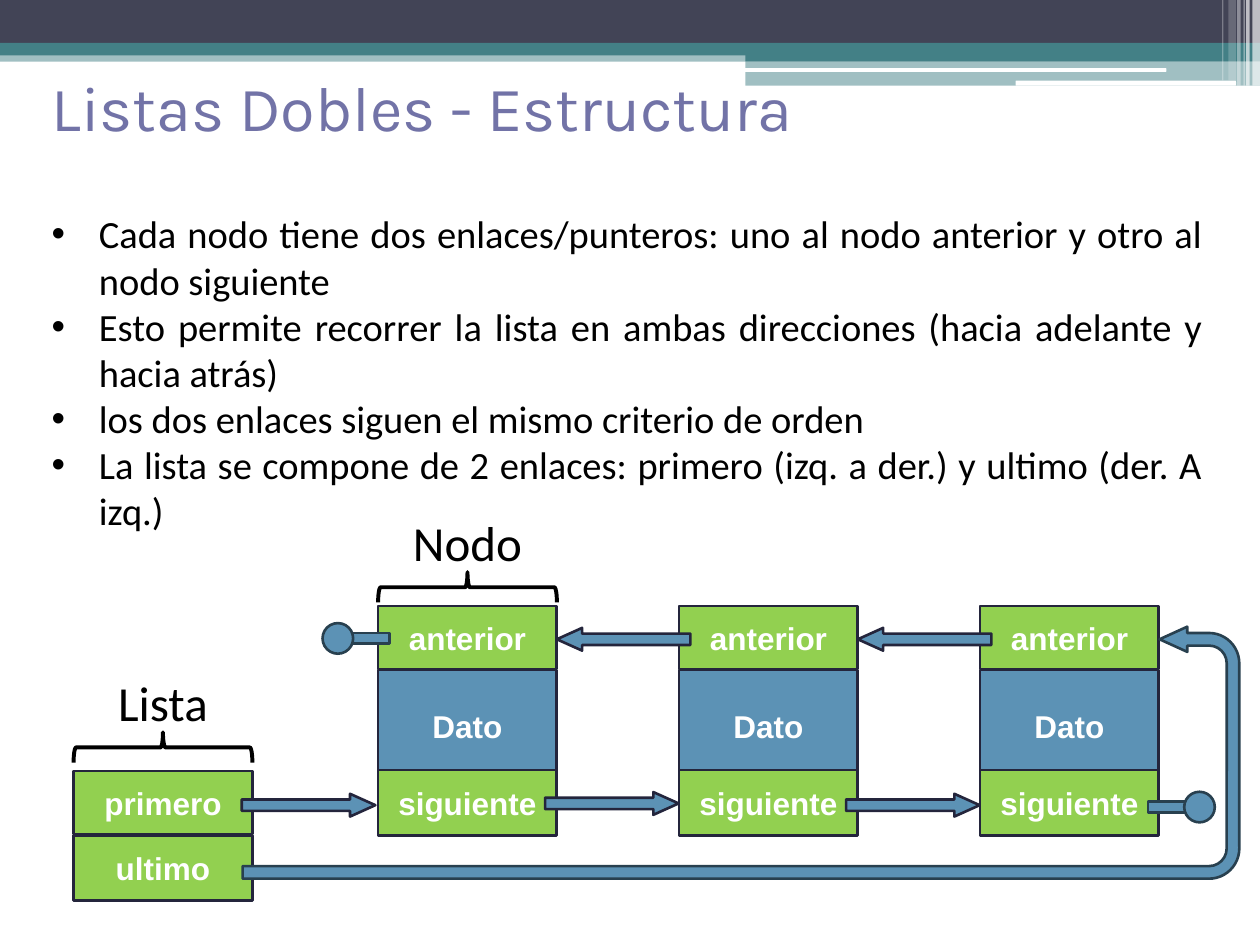
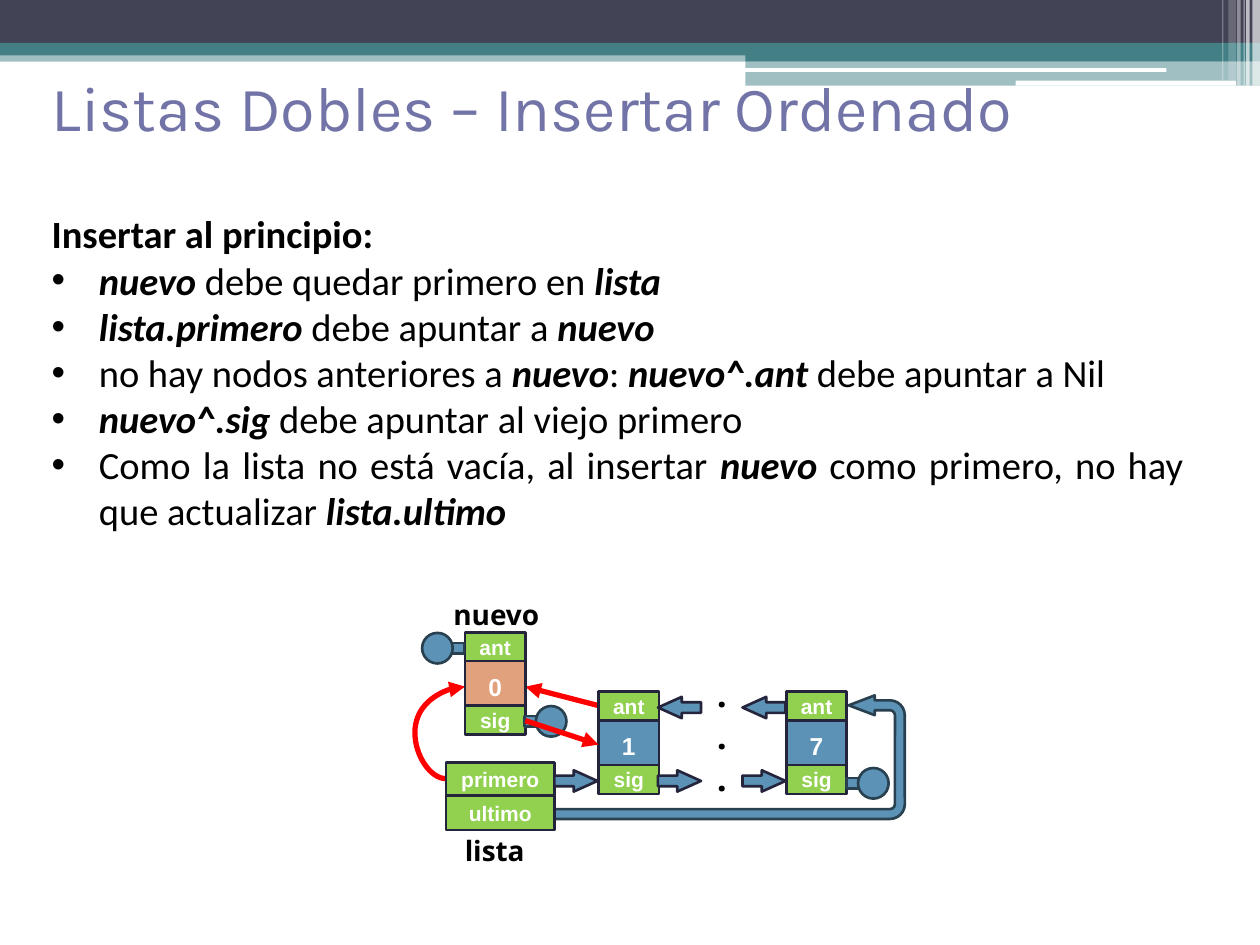
from pptx import Presentation
from pptx.dml.color import RGBColor
from pptx.enum.shapes import MSO_CONNECTOR as Link, MSO_SHAPE as Preset
from pptx.enum.text import MSO_ANCHOR as Anchor, MSO_AUTO_SIZE as AutoSize, PP_ALIGN as Align
from pptx.oxml.ns import qn
from pptx.util import Pt
from lxml.etree import SubElement

COLORS = {
    "slate": "424456", "teal": "438086", "white": "FFFFFF", "black": "000000",
    "title": "7273A7", "green": "92D050", "blue": "5C92B5", "orange": "E1A17C",
    "node_edge": "24253C", "pointer_edge": "28404F", "red": "FF0000",
}

# preset, left, top, width, height, colour, opacity in percent
BANDS = [
    (Preset.RECTANGLE, 0, 28.8, 720, 6.5, "teal", 50),
    (Preset.RECTANGLE, 0, 0, 720, 24.5, "slate", 100),
    (Preset.RECTANGLE, 0, 24.5, 720, 7.2, "teal", 100),
    (Preset.RECTANGLE, 426, 28, 294, 7, "teal", 100),
    (Preset.RECTANGLE, 426, 34.8, 294, 14.2, "teal", 50),
    (Preset.ROUNDED_RECTANGLE, 425.5, 38.9, 241, 2.2, "white", 100),
    (Preset.ROUNDED_RECTANGLE, 580.3, 46.1, 126, 2.9, "white", 100),
    (Preset.RECTANGLE, 715.7, 0, 4.3, 49, "white", 65),
    (Preset.RECTANGLE, 712.1, 0, 2, 49, "white", 65),
    (Preset.RECTANGLE, 710.6, 0, 0.7, 49, "white", 60),
    (Preset.RECTANGLE, 707, 0, 2, 49, "white", 40),
    (Preset.RECTANGLE, 702, 0, 4.3, 46, "white", 20),
    (Preset.RECTANGLE, 698.4, 0, 0.7, 46, "white", 30),
]


def rgb(name):
    return RGBColor.from_string(COLORS[name])


def assign(target, values):
    for name, value in values.items():
        setattr(target, name, value)


def place(box, left, top, width, height):
    assign(box, {"left": Pt(left), "top": Pt(top), "width": Pt(width), "height": Pt(height)})


def write(para, text, size, font, color, bold=False, italic=False):
    span = para.add_run()
    span.text = text
    assign(span.font, {"size": Pt(size), "name": font, "bold": bold, "italic": italic})
    span.font.color.rgb = rgb(color)


def add_preset(page, preset, left, top, width, height, fill=None, edge=None, weight=1.5,
               rotation=0, adjustments=()):
    shape = page.shapes.add_shape(preset, Pt(left), Pt(top), Pt(width), Pt(height))
    shape.shadow.inherit = False
    shape.rotation = rotation
    for index, value in enumerate(adjustments):
        shape.adjustments[index] = value
    if fill:
        shape.fill.solid()
        shape.fill.fore_color.rgb = rgb(fill)
    else:
        shape.fill.background()
    if edge:
        shape.line.color.rgb = rgb(edge)
        shape.line.width = Pt(weight)
    else:
        shape.line.fill.background()
    return shape


def add_bands(page):
    """Draw the header bands and move them into the layout that the pages share."""
    tree = page.slide_layout.shapes.element
    for order, (preset, left, top, width, height, color, opacity) in enumerate(BANDS):
        band = add_preset(page, preset, left, top, width, height, color)
        if opacity < 100:
            tint = band.fill._xPr.find(qn("a:solidFill"))[0]
            SubElement(tint, qn("a:alpha"), val=str(opacity * 1000))
        band.element.nvSpPr.cNvPr.set("id", str(100 + order))
        tree.insert(2 + order, band.element)


def set_title(page, text):
    title = page.shapes.title
    place(title, 22.3, 28, 672, 65.5)
    assign(title.text_frame, {"vertical_anchor": Anchor.MIDDLE, "auto_size": AutoSize.NONE})
    para = title.text_frame.paragraphs[0]
    para.alignment = Align.LEFT
    write(para, text, 36, "Karla", "title")


def set_bullet(para, bulleted):
    props = para._p.get_or_add_pPr()
    indent = 27 if bulleted else 0
    props.set("marL", str(Pt(indent)))
    props.set("indent", str(-Pt(indent)))
    if bulleted:
        SubElement(props, qn("a:buFont"), typeface="Arial")
        SubElement(props, qn("a:buChar"), char="•")
    else:
        SubElement(props, qn("a:buNone"))


def set_body(page, width, height, items, heading=None):
    """Fill the body; words between asterisks become bold italic."""
    body = page.placeholders[1]
    place(body, 22.3, 116.6, width, height)
    frame = body.text_frame
    assign(frame, {"vertical_anchor": Anchor.TOP, "auto_size": AutoSize.NONE})
    lines = ([heading] if heading else []) + items
    for index, line in enumerate(lines):
        para = frame.add_paragraph() if index else frame.paragraphs[0]
        assign(para, {"alignment": Align.JUSTIFY, "space_before": Pt(0)})
        set_bullet(para, line != heading)
        for part, text in enumerate(line.split("*")):
            strong = part % 2 == 1
            if text:
                write(para, text, 22, "Calibri", "black", strong or line == heading, strong)


def add_label(page, left, top, width, height, lines, size, font, bold=False,
              align=Align.LEFT, wrap=False, pitch=None):
    box = page.shapes.add_textbox(Pt(left), Pt(top), Pt(width), Pt(height))
    frame = box.text_frame
    frame.word_wrap = wrap
    for index, line in enumerate(lines):
        para = frame.add_paragraph() if index else frame.paragraphs[0]
        para.alignment = align
        if pitch:
            para.line_spacing = Pt(pitch)
        write(para, line, size, font, "black", bold)


def add_cells(page, left, top, width, cells):
    """Stack cells given as (text, fill, offset from top, height, text size)."""
    for text, fill, offset, height, size in cells:
        cell = add_preset(page, Preset.RECTANGLE, left, top + offset, width, height,
                          fill, "node_edge")
        frame = cell.text_frame
        assign(frame, {"vertical_anchor": Anchor.MIDDLE, "margin_left": 0, "margin_right": 0})
        para = frame.paragraphs[0]
        para.alignment = Align.CENTER
        write(para, text, size, "Arial", "white", bold=True)


def add_large_node(page, left):
    add_cells(page, left, 346.3, 102.2, [
        ("anterior", "green", 0, 36, 18),
        ("Dato", "blue", 36.7, 64, 18),
        ("siguiente", "green", 93.6, 37.4, 18),
    ])


def add_small_node(page, left, top, value, fill="blue"):
    add_cells(page, left, top, 34.6, [
        ("ant", "green", 0, 16.6, 12),
        (value, fill, 16.4, 28.8, 14),
        ("sig", "green", 41.8, 16.6, 12),
    ])


def add_pointer(page, left, top, width, height, backward=False):
    add_preset(page, Preset.RIGHT_ARROW, left, top, width, height, "blue", "node_edge",
               rotation=180 if backward else 0, adjustments=(0.5, 1.11))


def add_nil(page, root, middle, stub, reach, side):
    """Draw a stub with a dot; side is 1 towards the right and -1 towards the left."""
    thickness, dot = 6, 17.5
    add_preset(page, Preset.RECTANGLE, min(root, root + side * stub), middle - thickness / 2,
               stub, thickness, "blue", "pointer_edge")
    center = root + side * (reach - dot / 2)
    add_preset(page, Preset.FLOWCHART_CONNECTOR, center - dot / 2, middle - dot / 2,
               dot, dot, "blue", "pointer_edge")


def add_return_arrow(page, left, top, width, height, adjustments):
    arrow = add_preset(page, Preset.U_TURN_ARROW, left, top, width, height, "blue",
                       "pointer_edge", rotation=270, adjustments=adjustments)
    arrow.element.spPr.find(qn("a:xfrm")).set("flipV", "1")


def add_braced_label(page, left, top, text):
    add_label(page, left, top, 102.2, 41, [text], 28, "Calibri", align=Align.CENTER, wrap=True)
    add_preset(page, Preset.RIGHT_BRACE, left + 42.5, top - 5, 17.3, 102.2,
               edge="black", weight=2.25, rotation=270)


def add_red_link(page, start, end, bend=None):
    kind = Link.STRAIGHT if bend is None else Link.CURVE
    link = page.shapes.add_connector(kind, *map(Pt, start + end))
    link.line.color.rgb = rgb("red")
    link.line.width = Pt(3)
    props = link.element.spPr
    SubElement(props.find(qn("a:ln")), qn("a:tailEnd"), type="triangle")
    SubElement(props, qn("a:effectLst"))
    if bend is not None:
        guides = props.find(qn("a:prstGeom")).get_or_add_avLst()
        SubElement(guides, qn("a:gd"), name="adj1", fmla=f"val {round(bend * 100000)}")


def build_structure(page):
    set_title(page, "Listas Dobles - Estructura")
    set_body(page, 672, 194, [
        "Cada nodo tiene dos enlaces/punteros: uno al nodo anterior y otro al nodo siguiente",
        "Esto permite recorrer la lista en ambas direcciones (hacia adelante y hacia atrás)",
        "los dos enlaces siguen el mismo criterio de orden",
        "La lista se compone de 2 enlaces: primero (izq. a der.) y ultimo (der. A izq.)",
    ])
    add_cells(page, 42, 440.6, 102.2, [
        ("primero", "green", 0, 36, 18),
        ("ultimo", "green", 36.7, 37.4, 18),
    ])
    first, step = 216, 172
    for index in range(3):
        add_large_node(page, first + index * step)
    for index in range(2):
        add_pointer(page, 318.2 + index * step, 358.8, 76.3, 13, backward=True)
        add_pointer(page, 311.5 + index * step, 452.6 + index, 76.3, 13)
    add_return_arrow(page, 351.4, 145.4, 144, 569.5, (0.05, 0.05, 0.11, 0.12, 0.08))
    add_pointer(page, 138.2, 453.6, 76.3, 13)
    add_braced_label(page, 42, 381, "Lista")
    add_braced_label(page, first, 289.5, "Nodo")
    add_nil(page, 656, 461.2, 27.4, 38.2, 1)
    add_nil(page, 222.5, 364.8, 27.4, 38.2, -1)


def build_insertion(page):
    set_title(page, "Listas Dobles – Insertar Ordenado")
    set_body(page, 661, 220, [
        "*nuevo* debe quedar primero en *lista*",
        "*lista.primero *debe apuntar a *nuevo*",
        "no hay nodos anteriores a *nuevo*: *nuevo^.ant *debe apuntar a Nil",
        "*nuevo^.sig *debe apuntar al viejo primero",
        "Como la lista no está vacía, al insertar *nuevo* como primero, "
        "no hay que actualizar *lista.ultimo*",
    ], heading="Insertar al principio:")
    add_red_link(page, (342, 403.2), (300.2, 392.4))
    add_red_link(page, (254.9, 445), (265.7, 392.4), bend=-1.65)
    add_small_node(page, 265.7, 361.4, "0", "orange")
    add_nil(page, 265.2, 370.4, 19.4, 24, -1)
    add_nil(page, 299.7, 412.2, 19.4, 24, 1)
    add_small_node(page, 342, 395.3, "1")
    for left in (376, 424.3):
        add_pointer(page, left, 398.2, 24.6, 12.2, backward=True)
        add_pointer(page, left, 440.2, 24.6, 12.2)
    add_small_node(page, 449.3, 395.3, "7")
    add_nil(page, 483.8, 447.6, 19.4, 24, 1)
    add_return_arrow(page, 381.6, 332.6, 70.6, 200.2, (0.08, 0.08, 0.21, 0.12, 0.16))
    add_cells(page, 254.9, 435.8, 62, [
        ("primero", "green", 0, 18.8, 12),
        ("ultimo", "green", 19.2, 19.4, 12),
    ])
    add_pointer(page, 316.8, 440.2, 24.6, 12.2)
    add_red_link(page, (300.2, 411.8), (342, 425.5))
    add_label(page, 402.5, 380.5, 21, 104, ["."] * 3, 20, "Noto Sans", bold=True, pitch=24)
    add_label(page, 258.5, 473, 49, 26.6, ["lista"], 16, "Noto Sans", bold=True)
    add_label(page, 252, 337.7, 64, 26.6, ["nuevo"], 16, "Noto Sans", bold=True)


def main():
    deck = Presentation()
    assign(deck, {"slide_width": Pt(720), "slide_height": Pt(540)})
    layout = deck.slide_layouts[1]
    pages = [deck.slides.add_slide(layout) for _ in range(2)]
    add_bands(pages[0])
    build_structure(pages[0])
    build_insertion(pages[1])
    deck.save("out.pptx")


if __name__ == "__main__":
    main()
